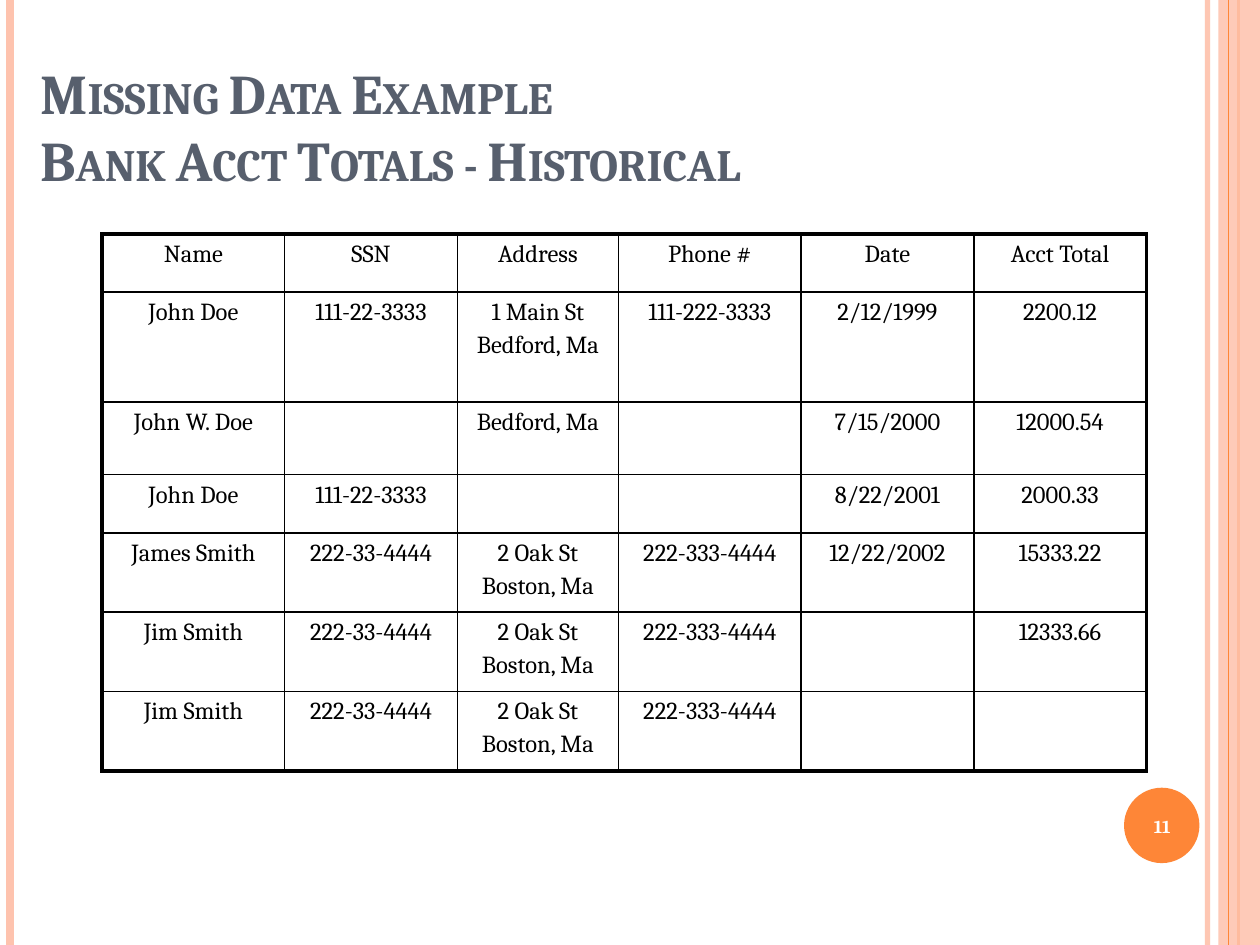
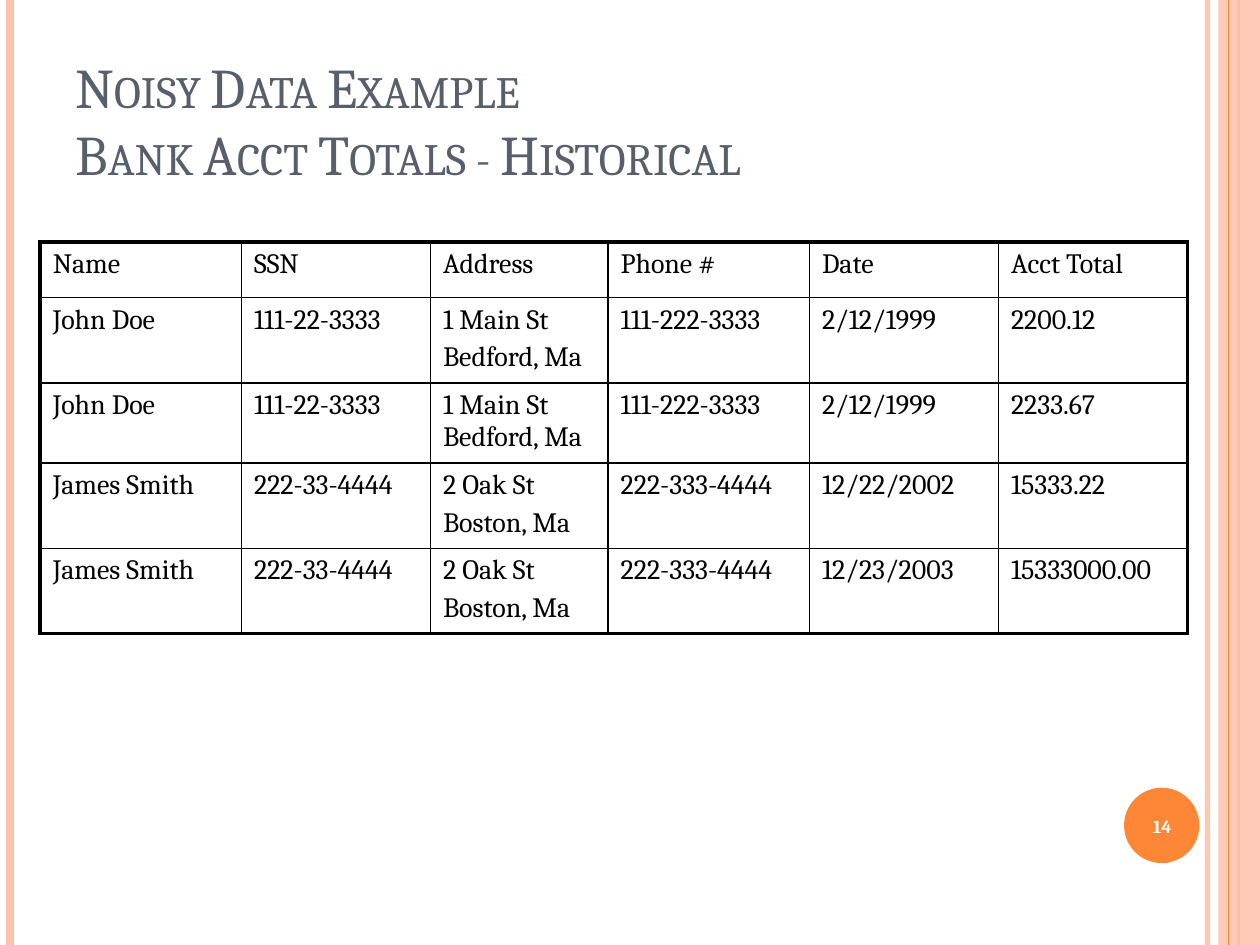
from lxml.etree import SubElement
from pptx import Presentation
from pptx.dml.color import RGBColor
from pptx.enum.shapes import MSO_CONNECTOR, MSO_SHAPE
from pptx.enum.text import MSO_ANCHOR, PP_ALIGN
from pptx.oxml.ns import qn
from pptx.util import Cm, Pt

FONT = "Cambria"
ORANGE, PEACH, SLATE = "FE8637", "FEC3AE", "575F6D"
BLACK, WHITE = "000000", "FFFFFF"
SLIDE_W, SLIDE_H = 25.4, 19.05
THICK, THIN = 2.25, 1

HEADER = ["Name", "SSN", "Address", "Phone #", "Date", "Acct Total"]
MAIN_ST, OAK_ST = "1 Main St\nBedford, Ma", "2 Oak St\nBoston, Ma"
DOE_SSN, DOE_PHONE = "111-22-3333", "111-222-3333"
SMITH_SSN, SMITH_PHONE = "222-33-4444", "222-333-4444"

MISSING_ROWS = [
    HEADER,
    ["John Doe", DOE_SSN, MAIN_ST, DOE_PHONE, "2/12/1999", "2200.12"],
    ["John W. Doe", "", "Bedford, Ma", "", "7/15/2000", "12000.54"],
    ["John Doe", DOE_SSN, "", "", "8/22/2001", "2000.33"],
    ["James Smith", SMITH_SSN, OAK_ST, SMITH_PHONE, "12/22/2002", "15333.22"],
    ["Jim Smith", SMITH_SSN, OAK_ST, SMITH_PHONE, "", "12333.66"],
    ["Jim Smith", SMITH_SSN, OAK_ST, SMITH_PHONE, "", ""],
]
NOISY_ROWS = [
    HEADER,
    ["John Doe", DOE_SSN, MAIN_ST, DOE_PHONE, "2/12/1999", "2200.12"],
    ["John Doe", DOE_SSN, "1 Main St Bedford, Ma", DOE_PHONE, "2/12/1999", "2233.67"],
    ["James Smith", SMITH_SSN, OAK_ST, SMITH_PHONE, "12/22/2002", "15333.22"],
    ["James Smith", SMITH_SSN, OAK_ST, SMITH_PHONE, "12/23/2003", "15333000.00"],
]


def rgb(color):
    """Turn a hex string into a colour."""
    return RGBColor.from_string(color)


def set_alpha(sp, percent):
    """Make the first colour of a shape partly transparent."""
    color = next(sp.element.iter(qn("a:srgbClr")))
    SubElement(color, qn("a:alpha")).set("val", str(percent * 1000))


def style_text(p, size, color, bold=False):
    """Format every run of a paragraph."""
    for r in p.runs:
        r.font.name = FONT
        r.font.size = Pt(size)
        r.font.bold = bold
        r.font.color.rgb = rgb(color)


def add_vertical(s, x, color, width):
    """Draw a line over the full height of the slide."""
    line = s.shapes.add_connector(MSO_CONNECTOR.STRAIGHT, Cm(x), 0, Cm(x), Cm(SLIDE_H))
    line.line.color.rgb = rgb(color)
    line.line.width = Pt(width)
    SubElement(line.element.spPr, qn("a:effectLst"))
    return line


def add_filled(s, kind, box, color):
    """Add a borderless filled shape."""
    sp = s.shapes.add_shape(kind, *map(Cm, box))
    sp.shadow.inherit = False
    sp.fill.solid()
    sp.fill.fore_color.rgb = rgb(color)
    sp.line.fill.background()
    return sp


def add_text(s, box, text, anchor):
    """Add a wrapping text box and return its first paragraph."""
    tf = s.shapes.add_textbox(*map(Cm, box)).text_frame
    tf.word_wrap = True
    tf.vertical_anchor = anchor
    p = tf.paragraphs[0]
    p.text = text
    return p


def add_frame(s, number):
    """Draw the side bands and the page number disc."""
    set_alpha(add_vertical(s, 24.34, PEACH, 3), 93)
    add_vertical(s, 0.21, PEACH, 4.5)
    add_vertical(s, 24.97, ORANGE, 1.5)
    band = add_filled(s, MSO_SHAPE.RECTANGLE, (24.56, 0, SLIDE_W - 24.56, SLIDE_H), PEACH)
    set_alpha(band, 87)
    add_vertical(s, 24.77, ORANGE, 0.75)
    add_filled(s, MSO_SHAPE.OVAL, (22.66, 15.88, 1.52, 1.52), ORANGE)
    p = add_text(s, (22.58, 15.93, 1.7, 1.45), str(number), MSO_ANCHOR.MIDDLE)
    p.alignment = PP_ALIGN.CENTER
    style_text(p, 10.5, WHITE, bold=True)


def add_title(s, box, topic, bold):
    """Add the two-line title in small capitals."""
    text = f"{topic} Data Example\vBank Acct Totals - Historical"
    p = add_text(s, box, text, MSO_ANCHOR.BOTTOM)
    style_text(p, 32, SLATE, bold)
    for r in p.runs:
        r.font._element.set("cap", "small")


def set_borders(cell, widths):
    """Draw the left, right, top and bottom borders of a cell."""
    tc_pr = cell._tc.get_or_add_tcPr()
    for side, width in zip("LRTB", widths):
        ln = SubElement(tc_pr, qn(f"a:ln{side}"), w=str(Pt(width)))
        fill = SubElement(ln, qn("a:solidFill"))
        SubElement(fill, qn("a:srgbClr"), val=BLACK)


def add_accounts(s, box, rows, col_widths, row_heights, size, align):
    """Add the account table with a thick outer border."""
    frame = s.shapes.add_table(len(rows), len(HEADER), *map(Cm, box))
    table = frame.table
    table.first_row = table.horz_banding = False
    for col, width in zip(table.columns, col_widths):
        col.width = Cm(width)
    for row, height in zip(table.rows, row_heights):
        row.height = Cm(height)
    frame.height = Cm(box[3])
    last_row, last_col = len(rows) - 1, len(HEADER) - 1
    for i, values in enumerate(rows):
        for j, value in enumerate(values):
            cell = table.cell(i, j)
            outer = (j == 0, j == last_col, i == 0, i == last_row)
            set_borders(cell, [THICK if edge else THIN for edge in outer])
            cell.fill.background()
            cell.text_frame.text = value
            for p in cell.text_frame.paragraphs:
                p.alignment = align
                p.space_before = Pt(size * 0.2)
                style_text(p, size, BLACK)


def add_missing_slide(prs):
    """Build the slide on missing data."""
    s = prs.slides.add_slide(prs.slide_layouts[6])
    add_frame(s, 11)
    add_title(s, (0.56, 1.47, 22.53, 2.54), "Missing", bold=True)
    add_accounts(s, (2.06, 4.72, 21.03, 10.8), MISSING_ROWS,
                 [3.68, 3.48, 3.25, 3.68, 3.48, 3.48],
                 [1.17, 2.21, 1.47, 1.17, 1.6, 1.6, 1.6], 14, PP_ALIGN.CENTER)


def add_noisy_slide(prs):
    """Build the slide on noisy data."""
    s = prs.slides.add_slide(prs.slide_layouts[6])
    add_frame(s, 14)
    add_title(s, (1.27, 1.35, 20.19, 2.54), "Noisy", bold=False)
    add_accounts(s, (0.81, 4.88, 23.14, 9.32), NOISY_ROWS,
                 [4.06, 3.81, 3.58, 4.06, 3.81, 3.81],
                 [1.12] * len(NOISY_ROWS), 16, PP_ALIGN.LEFT)


def main():
    """Build and save the presentation."""
    prs = Presentation()
    prs.slide_width, prs.slide_height = Cm(SLIDE_W), Cm(SLIDE_H)
    add_missing_slide(prs)
    add_noisy_slide(prs)
    prs.save("out.pptx")


if __name__ == "__main__":
    main()
